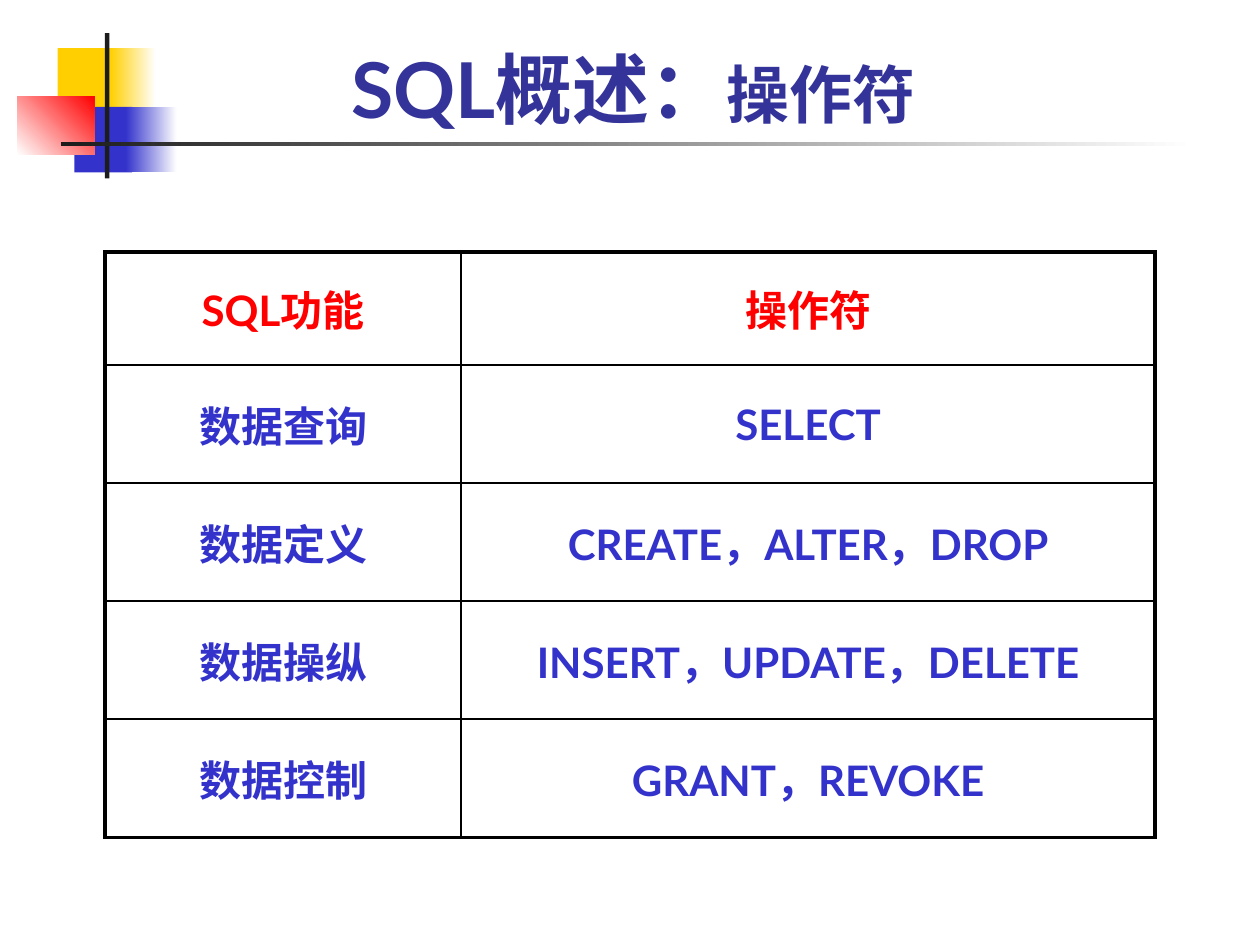
from typing import NamedTuple, Optional

from lxml import etree
from pptx import Presentation
from pptx.dml.color import RGBColor
from pptx.enum.shapes import MSO_SHAPE
from pptx.enum.text import MSO_ANCHOR, PP_ALIGN
from pptx.oxml.ns import qn
from pptx.util import Pt

RECTANGLE = MSO_SHAPE.RECTANGLE
CENTER = PP_ALIGN.CENTER
MIDDLE, BOTTOM = MSO_ANCHOR.MIDDLE, MSO_ANCHOR.BOTTOM

WHITE = RGBColor(0xFF, 0xFF, 0xFF)
BLACK = RGBColor(0x00, 0x00, 0x00)
CHARCOAL = RGBColor(0x1C, 0x1C, 0x1C)
YELLOW = RGBColor(0xFF, 0xCF, 0x01)
BLUE = RGBColor(0x33, 0x33, 0xCC)
NAVY = RGBColor(0x33, 0x33, 0x99)
RED = RGBColor(0xFF, 0x00, 0x00)

FONT = "Lato"
THIN, THICK = 1, 2.25


class Block(NamedTuple):
    """A decorative rectangle, in points; it fades if end is given."""
    left: float
    top: float
    width: float
    height: float
    start: RGBColor
    end: Optional[RGBColor] = None
    angle: float = 0


DECORATION = [
    Block(33, 27.5, 34.5, 37.5, YELLOW),
    Block(63, 27.5, 26, 37.5, YELLOW, WHITE),
    Block(42.5, 61, 33, 37.5, BLUE),
    Block(72, 61, 29, 37.5, BLUE, WHITE),
    Block(10, 55, 44, 33.5, WHITE, RED, 45),
    Block(60, 19, 2.5, 83, CHARCOAL),
    Block(35, 81, 648, 2.5, CHARCOAL, WHITE),
]

OPERATORS = [
    ("SQL功能", "操作符"),
    ("数据查询", "SELECT"),
    ("数据定义", "CREATE，ALTER，DROP"),
    ("数据操纵", "INSERT，UPDATE，DELETE"),
    ("数据控制", "GRANT，REVOKE"),
]
COLUMN_WIDTHS = [203.5, 396.5]
ROW_HEIGHTS = [64.5, 67.5, 67.5, 67.5, 67.5]


def draw_block(slide, block: Block) -> None:
    shape = slide.shapes.add_shape(
        RECTANGLE, Pt(block.left), Pt(block.top), Pt(block.width), Pt(block.height))
    shape.shadow.inherit = False
    shape.line.fill.background()
    if block.end is None:
        shape.fill.solid()
        shape.fill.fore_color.rgb = block.start
        return
    shape.fill.gradient()
    shape.fill.gradient_angle = block.angle
    for stop, color in zip(shape.fill.gradient_stops, (block.start, block.end)):
        stop.color.rgb = color


def add_text(paragraph, text: str, *, size: float, color: RGBColor,
             space_before: float = 0) -> None:
    paragraph.alignment = CENTER
    paragraph.space_before = Pt(space_before)
    run = paragraph.add_run()
    run.text = text
    run.font.name = FONT
    run.font.size = Pt(size)
    run.font.bold = True
    run.font.color.rgb = color


def set_borders(cell, widths: dict[str, float]) -> None:
    properties = cell._tc.get_or_add_tcPr()
    for index, (side, width) in enumerate(widths.items()):
        line = etree.Element(qn(f"a:ln{side}"), w=str(Pt(width)))
        fill = etree.SubElement(line, qn("a:solidFill"))
        etree.SubElement(fill, qn("a:srgbClr"), val=str(BLACK))
        properties.insert(index, line)


def draw_title(slide) -> None:
    title = slide.shapes.add_textbox(Pt(28), Pt(13), Pt(668), Pt(67)).text_frame
    title.word_wrap = True
    title.vertical_anchor = BOTTOM
    add_text(title.paragraphs[0], "SQL概述：", size=44, color=NAVY)
    add_text(title.paragraphs[0], "操作符", size=36, color=NAVY)


def draw_operators(slide) -> None:
    last_row, last_column = len(ROW_HEIGHTS) - 1, len(COLUMN_WIDTHS) - 1
    table = slide.shapes.add_table(
        len(ROW_HEIGHTS), len(COLUMN_WIDTHS), Pt(60), Pt(144),
        Pt(sum(COLUMN_WIDTHS)), Pt(sum(ROW_HEIGHTS))).table
    table.first_row = table.horz_banding = False
    for column, width in zip(table.columns, COLUMN_WIDTHS):
        column.width = Pt(width)
    for r, (row, height) in enumerate(zip(table.rows, ROW_HEIGHTS)):
        row.height = Pt(height)
        for c, cell in enumerate(row.cells):
            cell.vertical_anchor = MIDDLE
            cell.fill.background()
            # The outer frame is thick, the inner grid thin
            set_borders(cell, {
                "L": THICK if c == 0 else THIN,
                "R": THICK if c == last_column else THIN,
                "T": THICK if r == 0 else THIN,
                "B": THICK if r == last_row else THIN,
            })
            add_text(cell.text_frame.paragraphs[0], OPERATORS[r][c], size=24,
                     color=RED if r == 0 else BLUE, space_before=4.8)


def main() -> None:
    presentation = Presentation()
    presentation.slide_width, presentation.slide_height = Pt(720), Pt(540)
    slide = presentation.slides.add_slide(presentation.slide_layouts[6])

    # Corner blocks and rules
    for block in DECORATION:
        draw_block(slide, block)

    # Title and table
    draw_title(slide)
    draw_operators(slide)

    presentation.save("out.pptx")


if __name__ == "__main__":
    main()
